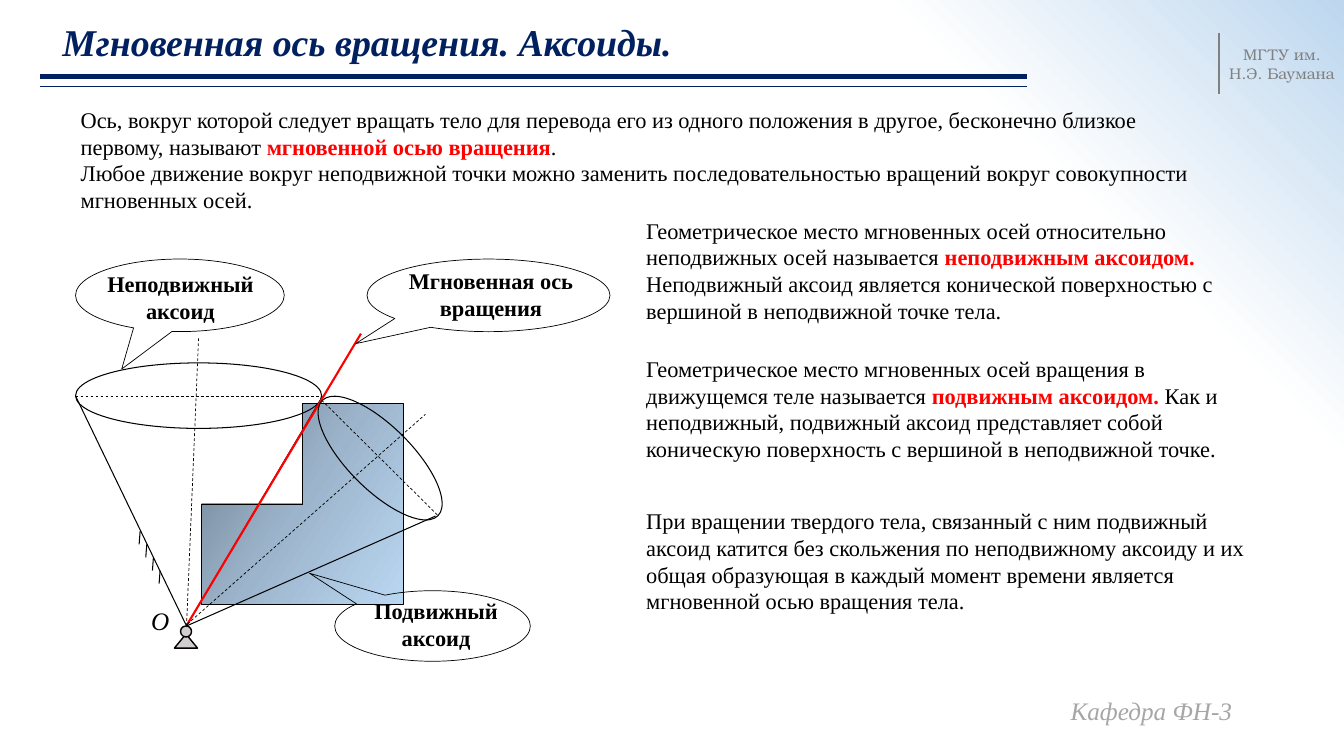
from dataclasses import dataclass
from typing import NamedTuple

from lxml import etree
from pptx import Presentation
from pptx import util as u
from pptx.dml.color import RGBColor
from pptx.enum import dml, shapes, text
from pptx.oxml import ns

BLACK = RGBColor(0x00, 0x00, 0x00)
RED = RGBColor(0xFF, 0x00, 0x00)
NAVY = RGBColor(0x00, 0x20, 0x60)
GRAY = RGBColor(0x80, 0x80, 0x80)
FOOTER_GRAY = RGBColor(0xA6, 0xA6, 0xA6)
SUPPORT_GRAY = RGBColor(0xD0, 0xCE, 0xCE)
WHITE = RGBColor(0xFF, 0xFF, 0xFF)
PALE_BLUE = RGBColor(0xBD, 0xD7, 0xEE)
BODY_DARK = RGBColor(0x6E, 0x7F, 0x8F)
BODY_MID = RGBColor(0x9D, 0xB5, 0xCC)
BODY_LIGHT = RGBColor(0xBA, 0xD7, 0xF2)
SERIF = "Times New Roman"
CURVE_STEPS = 12

Point = tuple[float, float]
Box = tuple[float, float, float, float]


class Run(NamedTuple):
    words: str
    color: RGBColor = BLACK
    bold: bool = False
    italic: bool = False


@dataclass
class Note:
    box: Box
    paragraphs: list[list[Run]]
    size: float = 16
    font: str = SERIF
    inset: Point = (0.1, 0.05)
    align: text.PP_ALIGN = text.PP_ALIGN.LEFT
    spacing: float = 1.0
    grow: bool = True


@dataclass
class Stroke:
    start: Point
    end: Point
    width: float = 0.75
    color: RGBColor = BLACK
    dashed: bool = False


@dataclass
class Figure:
    kind: shapes.MSO_SHAPE
    box: Box
    width: float = 0.75
    fill: RGBColor | None = None
    rotation: float = 0
    adjust: tuple[float, ...] = ()


def set_gradient(owner, stops: list[tuple[int, RGBColor]], direction: str, **settings: str):
    grad = owner.xpath(".//a:gradFill")[0]
    for child in list(grad):
        grad.remove(child)
    stop_list = etree.SubElement(grad, ns.qn("a:gsLst"))
    for percent, color in stops:
        stop = etree.SubElement(stop_list, ns.qn("a:gs"), pos=str(percent * 1000))
        etree.SubElement(stop, ns.qn("a:srgbClr"), val=str(color))
    return etree.SubElement(grad, ns.qn(direction), **settings)


def paint_background(slide) -> None:
    slide.background.fill.gradient()
    circle = set_gradient(slide.element, [(78, WHITE), (100, PALE_BLUE)], "a:path", path="circle")
    etree.SubElement(circle, ns.qn("a:fillToRect"), t="100000", r="100000")


def bezier(p0: Point, p1: Point, p2: Point, p3: Point) -> list[Point]:
    points = []
    for step in range(1, CURVE_STEPS + 1):
        t = step / CURVE_STEPS
        weights = ((1 - t) ** 3, 3 * t * (1 - t) ** 2, 3 * t * t * (1 - t), t ** 3)
        x, y = (sum(w * c for w, c in zip(weights, axis)) for axis in zip(p0, p1, p2, p3))
        points.append((x, y))
    return points


def draw_body(slide, start: Point, curves: list[tuple[Point, Point, Point]]) -> None:
    outline = [start]
    for first, second, end in curves:
        outline += bezier(outline[-1], first, second, end)
    builder = slide.shapes.build_freeform(*start, scale=u.Inches(1))
    builder.add_line_segments(outline[1:], close=True)
    body = builder.convert_to_shape()
    body.shadow.inherit = False
    body.fill.gradient()
    set_gradient(body.element, [(0, BODY_DARK), (50, BODY_MID), (100, BODY_LIGHT)],
                 "a:lin", ang="2028000", scaled="0")
    body.line.color.rgb = BLACK
    body.line.width = u.Pt(0.5)


def draw_figure(slide, figure: Figure) -> None:
    shape = slide.shapes.add_shape(figure.kind, *map(u.Inches, figure.box))
    shape.shadow.inherit = False
    shape.rotation = figure.rotation
    for index, value in enumerate(figure.adjust):
        shape.adjustments[index] = value
    if figure.fill is None:
        shape.fill.background()
    else:
        shape.fill.solid()
        shape.fill.fore_color.rgb = figure.fill
    shape.line.color.rgb = BLACK
    shape.line.width = u.Pt(figure.width)


def draw_stroke(slide, stroke: Stroke) -> None:
    line = slide.shapes.add_connector(
        shapes.MSO_CONNECTOR.STRAIGHT, *map(u.Inches, stroke.start + stroke.end))
    line.line.color.rgb = stroke.color
    line.line.width = u.Pt(stroke.width)
    if stroke.dashed:
        line.line.dash_style = dml.MSO_LINE.DASH
    etree.SubElement(line.element.spPr, ns.qn("a:effectLst"))


def write_note(slide, note: Note) -> None:
    frame = slide.shapes.add_textbox(*map(u.Inches, note.box)).text_frame
    frame.word_wrap = True
    if note.grow:
        frame.auto_size = text.MSO_AUTO_SIZE.SHAPE_TO_FIT_TEXT
    else:
        frame.vertical_anchor = text.MSO_ANCHOR.MIDDLE
    frame.margin_left = frame.margin_right = u.Inches(note.inset[0])
    frame.margin_top = frame.margin_bottom = u.Inches(note.inset[1])
    for index, runs in enumerate(note.paragraphs):
        paragraph = frame.add_paragraph() if index else frame.paragraphs[0]
        paragraph.alignment = note.align
        paragraph.line_spacing = note.spacing
        for words, color, bold, italic in runs:
            run = paragraph.add_run()
            run.text = words
            run.font.name, run.font.size = note.font, u.Pt(note.size)
            run.font.bold, run.font.italic = bold, italic
            run.font.color.rgb = color


def statement(box: Box, *paragraphs: list[Run]) -> Note:
    return Note(box, list(paragraphs), inset=(0.13, 0.07))


def label(box: Box, words: str) -> Note:
    return Note(box, [[Run(words, bold=True)]], align=text.PP_ALIGN.CENTER)


BODY_START = (1.81, 6.05)
BODY_CURVES = [
    ((1.76, 5.86), (1.75, 5.46), (1.88, 5.2)), ((2, 4.93), (2.37, 4.66), (2.55, 4.47)),
    ((2.74, 4.28), (2.79, 4.09), (2.98, 4.06)), ((3.17, 4.02), (3.51, 4.11), (3.67, 4.28)),
    ((3.82, 4.44), (3.93, 4.81), (3.9, 5.04)), ((3.87, 5.27), (3.65, 5.5), (3.5, 5.66)),
    ((3.34, 5.81), (3.11, 5.86), (2.96, 5.98)), ((2.81, 6.1), (2.73, 6.32), (2.59, 6.38)),
    ((2.45, 6.44), (2.27, 6.39), (2.14, 6.34)), ((2.01, 6.29), (1.85, 6.24), BODY_START),
]
APEX = (1.85, 6.21)
RIM_LEFT, RIM_RIGHT = (0.75, 3.93), (3.2, 3.93)
ELLIPSE = shapes.MSO_SHAPE.OVAL
CALLOUT = shapes.MSO_SHAPE.OVAL_CALLOUT
HATCHES = [Stroke((1.39 + 0.066 * i, 5.27 + 0.13 * i), (1.38 + 0.066 * i, 5.4 + 0.13 * i))
           for i in range(4)]
DRAWING = [
    Figure(shapes.MSO_SHAPE.ISOSCELES_TRIANGLE, (1.73, 6.29, 0.23, 0.14), 1, SUPPORT_GRAY),
    Figure(ELLIPSE, (0.75, 3.6, 2.44, 0.65)),
    Stroke(RIM_LEFT, APEX),
    Stroke(RIM_RIGHT, APEX),
    Figure(ELLIPSE, (1.79, 6.21, 0.11, 0.11), 1, SUPPORT_GRAY),
    *HATCHES,
    Stroke(APEX, (1.97, 3.35), 0.5, dashed=True),
    Stroke(RIM_LEFT, RIM_RIGHT, 0.5, dashed=True),
    Figure(CALLOUT, (0.75, 2.57, 2.07, 0.72), 0.5, adjust=(-0.279, 1.016)),
    Stroke((12.09, 0.33), (12.09, 0.93), 1.5, GRAY),
    Stroke((0.4, 0.76), (10.19, 0.76), 3.5, NAVY),
    Stroke((0.4, 0.86), (10.19, 0.86), 0.75, NAVY),
    Stroke((1.86, 6.19), (3.58, 3.31), 1.5, RED),
    Figure(CALLOUT, (3.64, 2.57, 2.41, 0.72), 0.5, adjust=(-0.547, 0.666)),
    Figure(CALLOUT, (3.32, 5.86, 1.94, 0.7), 0.5, rotation=180, adjust=(0.629, 0.747)),
    Figure(ELLIPSE, (2.96, 4.23, 1.62, 0.63), rotation=44.9),
    Stroke(APEX, (4.32, 5.12)),
    Stroke((1.86, 6.19), (4.22, 4.11), 0.5, dashed=True),
    Stroke((3.19, 3.97), (4.34, 5.11), 0.5, dashed=True),
]
NOTES = [
    Note((0.52, 0.1, 9.23, 0.68), [[Run("Мгновенная ось вращения. Аксоиды.", NAVY, True, True)]],
         27, spacing=0.9, grow=False),
    Note((12.09, 0.4, 1.25, 0.66), [[Run("МГТУ им. Н.Э. Баумана", GRAY)]], 11,
         "TeX Gyre Bonum", align=text.PP_ALIGN.CENTER),
    statement((0.67, 0.98, 11.59, 1.21), [
        Run("Ось, вокруг которой следует вращать тело для перевода его из одного положения "
            "в другое, бесконечно близкое первому, называют "),
        Run("мгновенной осью вращения", RED, True), Run(".")], [
        Run("Любое движение вокруг неподвижной точки можно заменить последовательностью "
            "вращений вокруг совокупности мгновенных осей.")]),
    statement((6.28, 2.08, 6.43, 1.21), [
        Run("Геометрическое место мгновенных осей относительно неподвижных осей называется "),
        Run("неподвижным аксоидом. ", RED, True),
        Run("Неподвижный аксоид является конической поверхностью с вершиной "
            "в неподвижной точке тела.")]),
    statement((6.28, 3.45, 6.27, 1.21), [
        Run("Геометрическое место мгновенных осей вращения в движущемся теле называется "),
        Run("подвижным аксоидом. ", RED, True),
        Run("Как и неподвижный, подвижный аксоид представляет собой коническую "
            "поверхность с вершиной в неподвижной точке.")]),
    statement((6.28, 4.96, 6.43, 1.21), [
        Run("При вращении твердого тела, связанный с ним подвижный аксоид катится без "
            "скольжения по неподвижному аксоиду и их общая образующая в каждый момент "
            "времени является мгновенной осью вращения тела.")]),
    label((0.87, 2.63, 1.84, 0.64), "Неподвижный аксоид"),
    label((3.74, 2.6, 2.26, 0.64), "Мгновенная ось вращения"),
    label((3.32, 5.88, 2.01, 0.64), "Подвижный аксоид"),
    Note((1.4, 5.96, 0.48, 0.4), [[Run("O", italic=True)]], 18),
    Note((10.52, 6.85, 2.19, 0.4), [[Run("Кафедра ФН-3", FOOTER_GRAY, italic=True)]], 18),
]


def main() -> None:
    deck = Presentation()
    deck.slide_width, deck.slide_height = u.Inches(13.33), u.Inches(7.5)
    slide = deck.slides.add_slide(deck.slide_layouts[6])
    paint_background(slide)
    draw_body(slide, BODY_START, BODY_CURVES)
    for part in DRAWING:
        if isinstance(part, Figure):
            draw_figure(slide, part)
        else:
            draw_stroke(slide, part)
    for note in NOTES:
        write_note(slide, note)
    deck.save("out.pptx")


if __name__ == "__main__":
    main()
